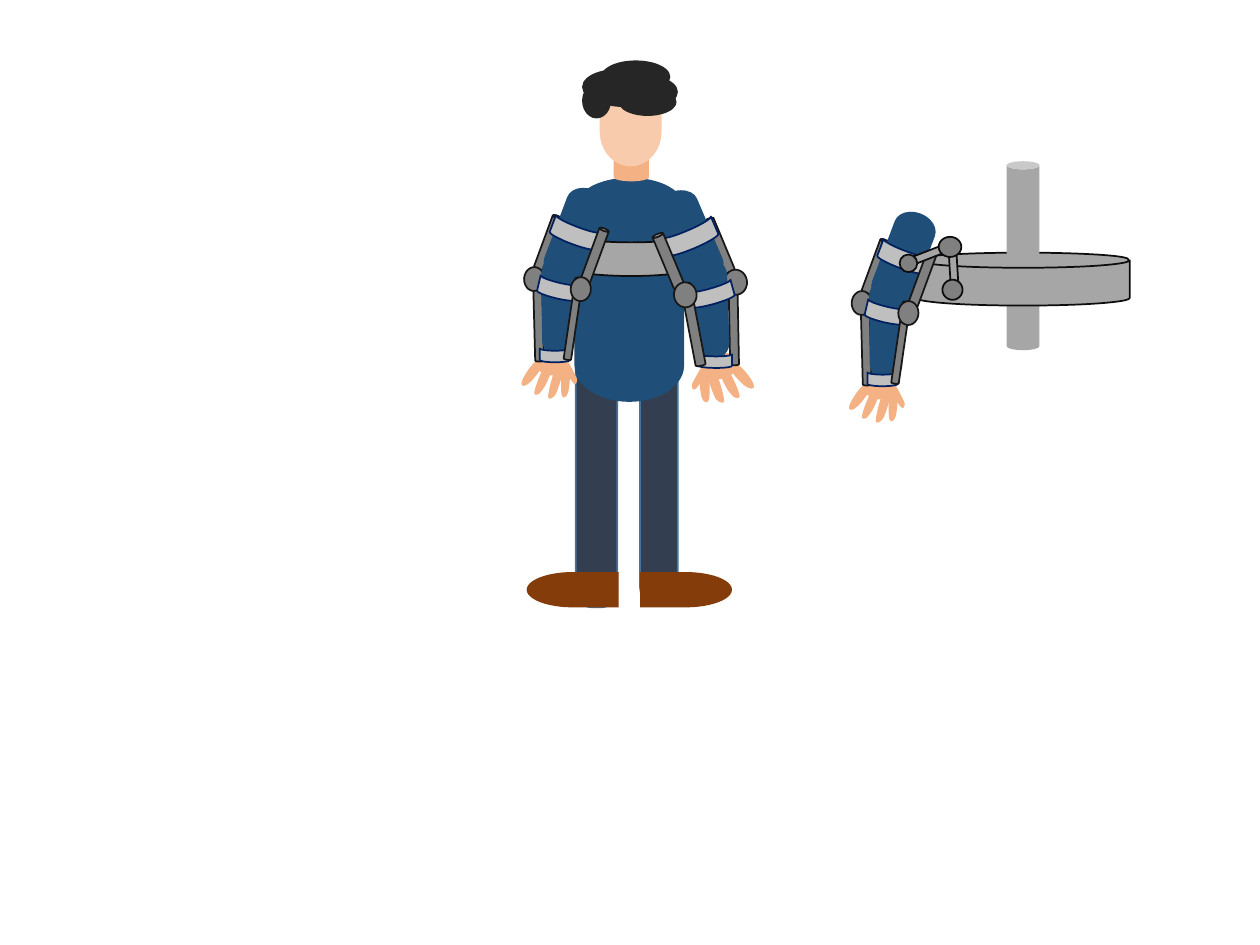
from lxml import etree
from pptx import Presentation, util as u
from pptx.dml import color
from pptx.enum import shapes
from pptx.oxml import ns

KIND = shapes.MSO_SHAPE
CAN, DISK = KIND.CAN, KIND.FLOWCHART_MAGNETIC_DISK
BAND, DELAY = KIND.FLOWCHART_STORED_DATA, KIND.FLOWCHART_DELAY
JOINT, OVAL = KIND.FLOWCHART_CONNECTOR, KIND.OVAL

SHIRT, SKIN, FACE, HAIR = "1F4E79", "F4B183", "F8CBAD", "262626"
TROUSERS, SEAM, SHOE = "333F50", "43739E", "843C0B"
STEEL, METAL, STRAP = "A6A6A6", "808080", "BFBFBF"
OUTLINE, EDGE, NAVY = "0D0D0D", "181717", "002060"

HAIR_LOCKS = [
    (4.62, 0.66, 0.23, 0.28), (4.9, 0.6, 0.48, 0.26), (4.91, 0.7, 0.46, 0.22),
    (4.68, 0.59, 0.55, 0.26), (4.77, 0.48, 0.55, 0.26), (4.62, 0.55, 0.54, 0.28),
]

FINGERS = [
    [(4.4, 2.95), (4.38, 2.99), (4.35, 3.12), (4.35, 3.15), (4.35, 3.18), (4.39, 3.16), (4.41, 3.13),
     (4.43, 3.09), (4.47, 2.96), (4.47, 2.93), (4.46, 2.9), (4.42, 2.92), (4.4, 2.95)],
    [(4.25, 2.87), (4.21, 2.9), (4.14, 3.01), (4.14, 3.04), (4.13, 3.07), (4.17, 3.07), (4.2, 3.04),
     (4.23, 3.02), (4.31, 2.91), (4.32, 2.88), (4.33, 2.85), (4.28, 2.85), (4.25, 2.87)],
    [(4.31, 2.93), (4.29, 2.96), (4.24, 3.09), (4.24, 3.12), (4.24, 3.14), (4.28, 3.14), (4.3, 3.1),
     (4.33, 3.07), (4.38, 2.95), (4.38, 2.92), (4.38, 2.89), (4.33, 2.89), (4.31, 2.93)],
    [(4.46, 2.94), (4.45, 2.98), (4.45, 3.12), (4.46, 3.14), (4.47, 3.17), (4.5, 3.15), (4.51, 3.11),
     (4.52, 3.07), (4.53, 2.94), (4.53, 2.91), (4.52, 2.88), (4.47, 2.91), (4.46, 2.94)],
    [(4.47, 2.9), (4.48, 2.93), (4.53, 3.02), (4.55, 3.04), (4.57, 3.06), (4.58, 3.04), (4.58, 3.01),
     (4.57, 2.98), (4.52, 2.89), (4.51, 2.87), (4.49, 2.85), (4.47, 2.87), (4.47, 2.9)],
]

ARM_PARTS = [
    (DISK, SKIN, None, (4.28, 2.76, 0.23, 0.12, 358.2), (5.56, 2.8, 0.26, 0.12, 359.2)),
    (JOINT, SKIN, None, (4.25, 2.83, 0.27, 0.15, 7.5), (5.55, 2.86, 0.3, 0.15, 350)),
    (CAN, METAL, EDGE, (4.24, 2.25, 0.07, 0.62, 358.5), (5.79, 2.27, 0.07, 0.63, 358.9)),
    (CAN, METAL, EDGE, (4.31, 1.7, 0.08, 0.45, 20.2), (5.66, 1.72, 0.09, 0.46, 337.3)),
    (JOINT, METAL, EDGE, (4.16, 2.12, 0.16, 0.19, 3), (5.75, 2.14, 0.18, 0.2, 354.5)),
    (DISK, SHIRT, None, (4.3, 2.03, 0.26, 0.8, 359.4), (5.49, 2.05, 0.29, 0.81, 358.1)),
    (DISK, SHIRT, None, (4.4, 1.48, 0.34, 0.77, 20.6), (5.27, 1.5, 0.38, 0.78, 336.9)),
    (BAND, STRAP, NAVY, (4.48, 1.66, 0.17, 0.39, 290.6), (5.39, 1.67, 0.18, 0.43, 66.9)),
    (BAND, STRAP, NAVY, (4.36, 2.13, 0.15, 0.33, 283), (5.57, 2.16, 0.15, 0.36, 74.5)),
    (BAND, STRAP, NAVY, (4.35, 2.7, 0.11, 0.24, 270), (5.62, 2.73, 0.11, 0.27, 90.5)),
    (CAN, METAL, EDGE, (4.68, 1.8, 0.08, 0.45, 20.2), (5.26, 1.84, 0.09, 0.46, 337.3)),
    (CAN, METAL, EDGE, (4.52, 2.2, 0.06, 0.66, 8.3), (5.46, 2.24, 0.08, 0.67, 349.2)),
    (JOINT, METAL, EDGE, (4.53, 2.2, 0.16, 0.19, 3), (5.35, 2.24, 0.18, 0.2, 354.5)),
]


def paint(shape, fill, line=None):
    """Give a shape a flat fill and an optional one-point outline."""
    shape.shadow.inherit = False
    shape.fill.solid()
    shape.fill.fore_color.rgb = color.RGBColor.from_string(fill)
    if line:
        shape.line.color.rgb = color.RGBColor.from_string(line)
        shape.line.width = u.Pt(1)
    else:
        shape.line.fill.background()


def add_part(parent, kind, box, fill, line=None, turn=0, adjust=None, flip=False):
    """Add one preset shape to a page or group."""
    shape = parent.shapes.add_shape(kind, *map(u.Inches, box))
    shape.rotation = turn
    if adjust is not None:
        shape.adjustments[0] = adjust
    if flip:
        shape._element.spPr.get_or_add_xfrm().set("flipH", "1")
    paint(shape, fill, line)


def mirror_point(x, y):
    """Map a point of the left hand to the right hand."""
    reach = (4.58 - x) * 1.12
    return 5.49 + reach, y + 0.045 - 0.05 * reach


def bend_outline(shape):
    """Turn each three straight segments of an outline into one cubic curve."""
    segments = list(shape._element.iter(ns.qn("a:lnTo")))
    for first in range(0, len(segments), 3):
        curve = etree.Element(ns.qn("a:cubicBezTo"))
        segments[first].addprevious(curve)
        for segment in segments[first:first + 3]:
            curve.append(segment[0])
            segment.getparent().remove(segment)


def add_finger(parent, points):
    """Add one finger from a start point and four cubic curves."""
    outline = [(u.Inches(x), u.Inches(y)) for x, y in points]
    builder = parent.shapes.build_freeform(*outline[0])
    builder.add_line_segments(outline[1:-1], close=False)
    builder.add_line_segments(outline[-1:], close=True)
    finger = builder.convert_to_shape()
    bend_outline(finger)
    paint(finger, SKIN)


def add_arm(page, right=False, dx=0, dy=0):
    """Add a sleeved arm with its exoskeleton, moved by an offset."""
    group = page.shapes.add_group_shape()
    for finger in FINGERS:
        points = [mirror_point(x, y) if right else (x + dx, y + dy) for x, y in finger]
        add_finger(group, points)
    for kind, fill, line, left_place, right_place in ARM_PARTS:
        x, y, width, height, turn = right_place if right else left_place
        add_part(group, kind, (x + dx, y + dy, width, height), fill, line, turn, flip=right)


def add_body(page):
    """Add the legs, torso, shoes, head and chest band."""
    add_part(page, KIND.ROUNDED_RECTANGLE, (5.08, 2.84, 0.3, 1.97), TROUSERS, SEAM, adjust=0.5)
    add_part(page, KIND.ROUNDED_RECTANGLE, (4.57, 2.82, 0.33, 2), TROUSERS, SEAM, adjust=0.39)
    torso = page.shapes.add_group_shape()
    add_part(torso, DELAY, (4.77, 1.21, 0.46, 0.86), SHIRT, turn=270)
    add_part(torso, DISK, (4.56, 1.46, 0.87, 1.73), SHIRT)
    for left, turn in ((5.08, 0), (4.18, 180)):
        add_part(page, DELAY, (left, 4.54, 0.73, 0.28), SHOE, turn=turn)
    add_part(page, CAN, (4.87, 1.18, 0.28, 0.26), SKIN)
    add_part(page, DELAY, (4.73, 0.8, 0.55, 0.49), FACE, turn=90)
    hair = page.shapes.add_group_shape()
    for lock in HAIR_LOCKS:
        add_part(hair, JOINT, lock, HAIR)
    add_part(page, BAND, (4.85, 1.58, 0.32, 0.9), STEEL, OUTLINE, 270)


def add_linkage(page):
    """Add the jointed link between the detached arm and the ring."""
    group = page.shapes.add_group_shape()
    for left, top, turn in ((7.14, 1.88, 338.7), (7.31, 2.04, 86.6)):
        add_part(group, KIND.MATH_MINUS, (left, top, 0.52, 0.26), STEEL, OUTLINE, turn)
    for box in ((7.48, 2.22, 0.16, 0.16), (7.45, 1.88, 0.18, 0.16), (7.14, 2.02, 0.14, 0.14)):
        add_part(group, OVAL, box, METAL, OUTLINE)


def main():
    """Build the exoskeleton drawing and save it."""
    deck = Presentation()
    deck.slide_width, deck.slide_height = u.Inches(10), u.Inches(7.5)
    page = deck.slides.add_slide(deck.slide_layouts[6])
    add_part(page, BAND, (7.96, 1.33, 0.32, 1.67), STEEL, OUTLINE, 90)
    add_part(page, CAN, (7.99, 1.28, 0.26, 1.5), STEEL)
    add_body(page)
    add_arm(page, right=True)
    add_arm(page)
    add_part(page, BAND, (7.94, 1.4, 0.36, 1.69), STEEL, OUTLINE, 270)
    add_arm(page, dx=2.6, dy=0.19)
    add_linkage(page)
    deck.save("out.pptx")


if __name__ == "__main__":
    main()
